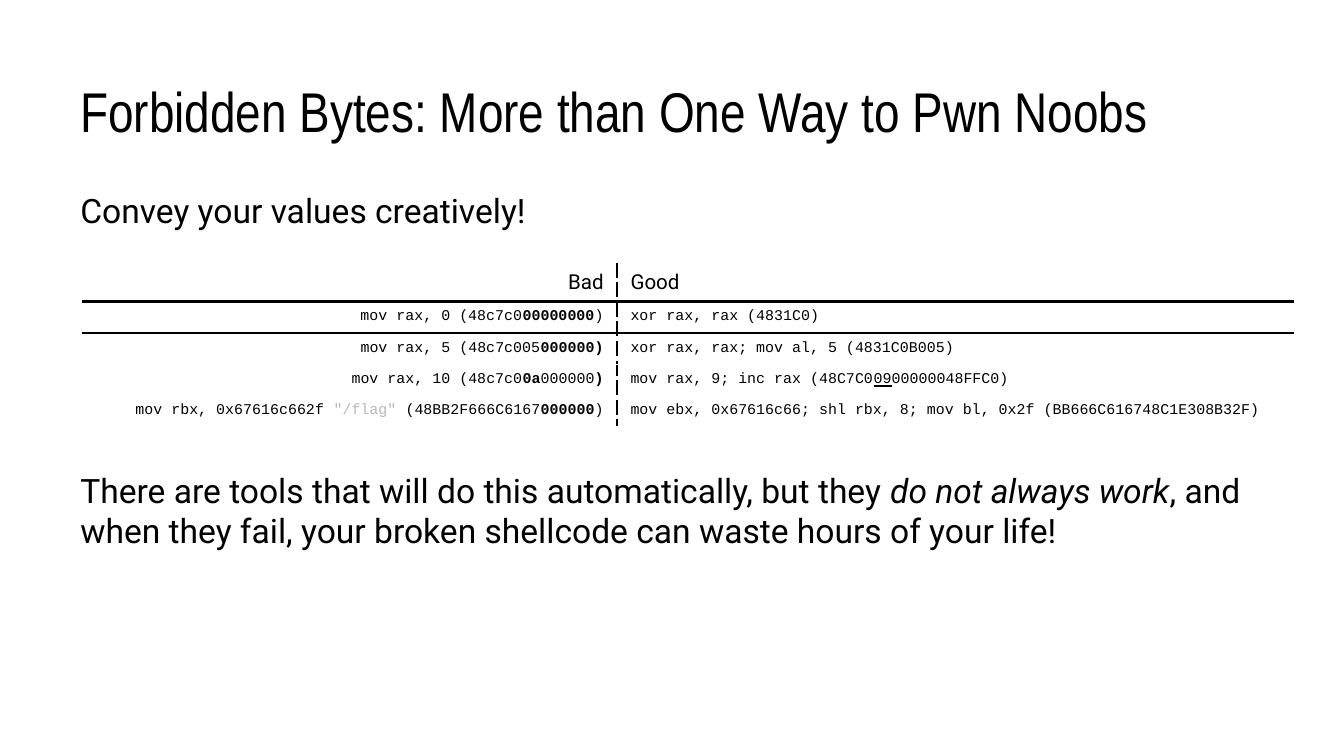
from lxml.etree import SubElement
from pptx import Presentation
from pptx.dml.color import RGBColor
from pptx.enum.text import MSO_ANCHOR as Anchor, PP_ALIGN as Align
from pptx.oxml.ns import qn
from pptx.util import Pt

BLACK = RGBColor(0x00, 0x00, 0x00)
GRAY = RGBColor(0xB7, 0xB7, 0xB7)

TITLE_FONT, BODY_FONT, CODE_FONT = "Arial Narrow", "Roboto", "Courier New"
HEADER_HEIGHT, CODE_HEIGHT = 20.1, 16.3

# Each cell is a list of (text, style) runs; style is "", "bold", "italic", "underline" or "gray"
HEADER = ([("Bad", "")], [("Good", "")])
CODE_ROWS = [
    ([("mov rax, 0 (48c7c0", ""), ("00000000", "bold"), (")", "")],
     [("xor rax, rax (4831C0)", "")]),
    ([("mov rax, 5 (48c7c005", ""), ("000000)", "bold")],
     [("xor rax, rax; mov al, 5 (4831C0B005)", "")]),
    ([("mov rax, 10 (48c7c0", ""), ("0a", "bold"), ("000000", ""), (")", "bold")],
     [("mov rax, 9; inc rax (48C7C0", ""), ("09", "underline"), ("00000048FFC0)", "")]),
    ([("mov rbx, 0x67616c662f ", ""), ('"/flag"', "gray"),
      (" (48BB2F666C6167", ""), ("000000", "bold"), (")", "")],
     [("mov ebx, 0x67616c66; shl rbx, 8; mov bl, 0x2f (BB666C616748C1E308B32F)", "")]),
]
BODY = [
    [("Convey your values creatively!", "")],
    [("There are tools that will do this automatically, but they ", ""),
     ("do not always work", "italic"),
     (", and when they fail, your broken shellcode can waste hours of your life!", "")],
]


def write_runs(paragraph, runs, font_name, size):
    for text, style in runs:
        run = paragraph.add_run()
        run.text = text
        font = run.font
        font.name, font.size = font_name, Pt(size)
        font.bold = style == "bold"
        font.italic = style == "italic"
        font.underline = style == "underline"
        font.color.rgb = GRAY if style == "gray" else BLACK


def add_text_frame(slide, left, top, width, height, anchor):
    box = slide.shapes.add_textbox(Pt(left), Pt(top), Pt(width), Pt(height))
    frame = box.text_frame
    frame.word_wrap = True
    frame.vertical_anchor = anchor
    frame.margin_left = frame.margin_right = Pt(7.2)
    frame.margin_top = frame.margin_bottom = Pt(7.2)
    return frame


def add_title(slide, left, top, width, height):
    frame = add_text_frame(slide, left, top, width, height, Anchor.BOTTOM)
    write_runs(frame.paragraphs[0], [("Forbidden Bytes: More than One Way to Pwn Noobs", "")],
               TITLE_FONT, 30)


def add_body(slide, left, top, width, height, table_gap):
    frame = add_text_frame(slide, left, top, width, height, Anchor.TOP)
    opening, warning = frame.paragraphs[0], frame.add_paragraph()
    warning.space_before = Pt(table_gap)
    for paragraph, runs in zip((opening, warning), BODY):
        write_runs(paragraph, runs, BODY_FONT, 18)


def add_border(cell, side, width, dash):
    line = SubElement(cell._tc.get_or_add_tcPr(), qn(f"a:ln{side}"), w=str(Pt(width)))
    fill = SubElement(line, qn("a:solidFill"))
    SubElement(fill, qn("a:srgbClr"), val=str(BLACK))
    SubElement(line, qn("a:prstDash"), val=dash)


def add_comparison(slide, left, top, bad_width, good_width):
    rows = [HEADER, *CODE_ROWS]
    height = HEADER_HEIGHT + CODE_HEIGHT * len(CODE_ROWS)
    frame = slide.shapes.add_table(len(rows), 2, Pt(left), Pt(top),
                                   Pt(bad_width + good_width), Pt(height))
    table = frame.table
    table.first_row = table.horz_banding = False
    table.columns[0].width, table.columns[1].width = Pt(bad_width), Pt(good_width)

    for row_index, row in enumerate(rows):
        is_header = row_index == 0
        table.rows[row_index].height = Pt(HEADER_HEIGHT if is_header else CODE_HEIGHT)
        font_name, size = (BODY_FONT, 11) if is_header else (CODE_FONT, 8)
        for column_index, runs in enumerate(row):
            cell = table.cell(row_index, column_index)
            cell.margin_left = cell.margin_right = Pt(7.2)
            cell.margin_top = cell.margin_bottom = Pt(3.6)
            paragraph = cell.text_frame.paragraphs[0]
            paragraph.alignment = (Align.RIGHT, Align.LEFT)[column_index]
            write_runs(paragraph, runs, font_name, size)

            # Dashed divider between columns, solid rule under the header
            add_border(cell, "RL"[column_index], 0.75, "dash")
            if row_index < 2:
                add_border(cell, "B" if is_header else "T", 1.5, "solid")
            cell.fill.background()


def main():
    presentation = Presentation()
    presentation.slide_width, presentation.slide_height = Pt(720), Pt(405)
    slide = presentation.slides.add_slide(presentation.slide_layouts[6])
    add_title(slide, 36, 16.5, 648, 67.5)
    add_body(slide, 36, 94.5, 648, 293, table_gap=128.5)
    add_comparison(slide, 44.6, 141.1, 286, 362)
    presentation.save("out.pptx")


if __name__ == "__main__":
    main()
